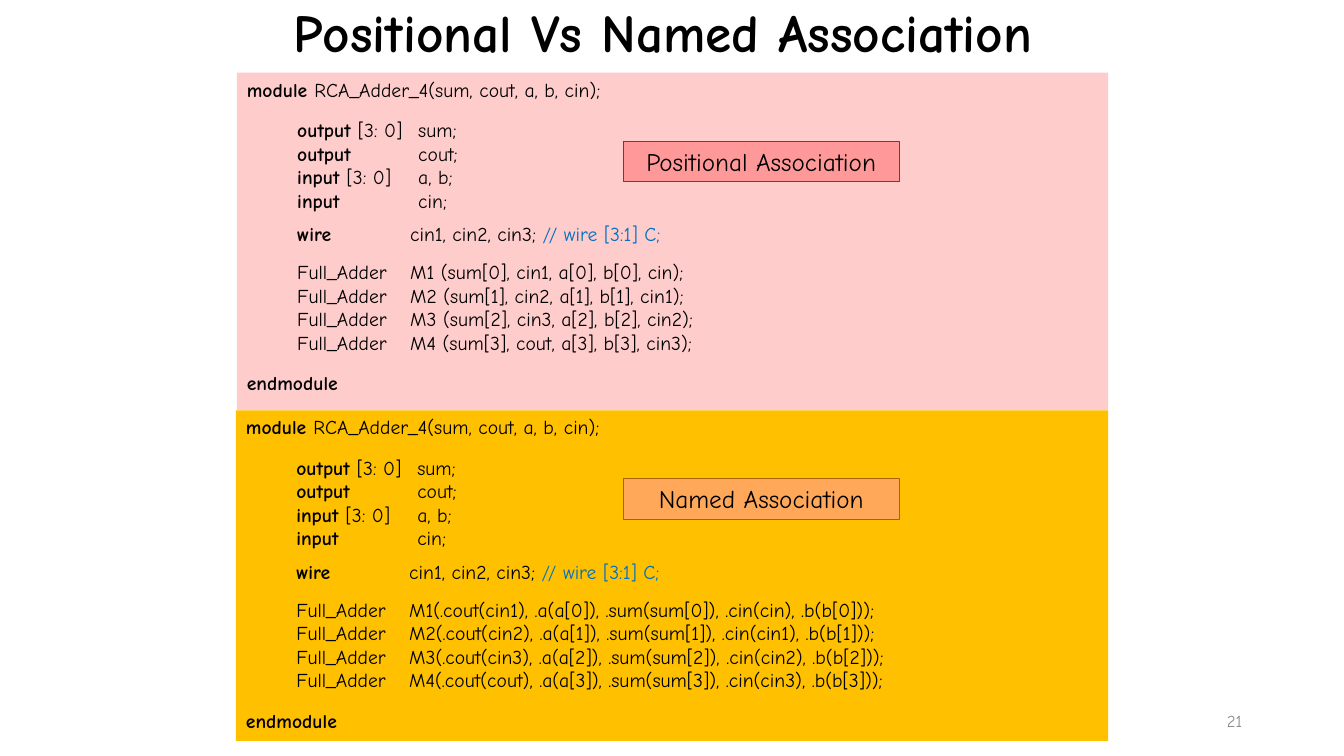
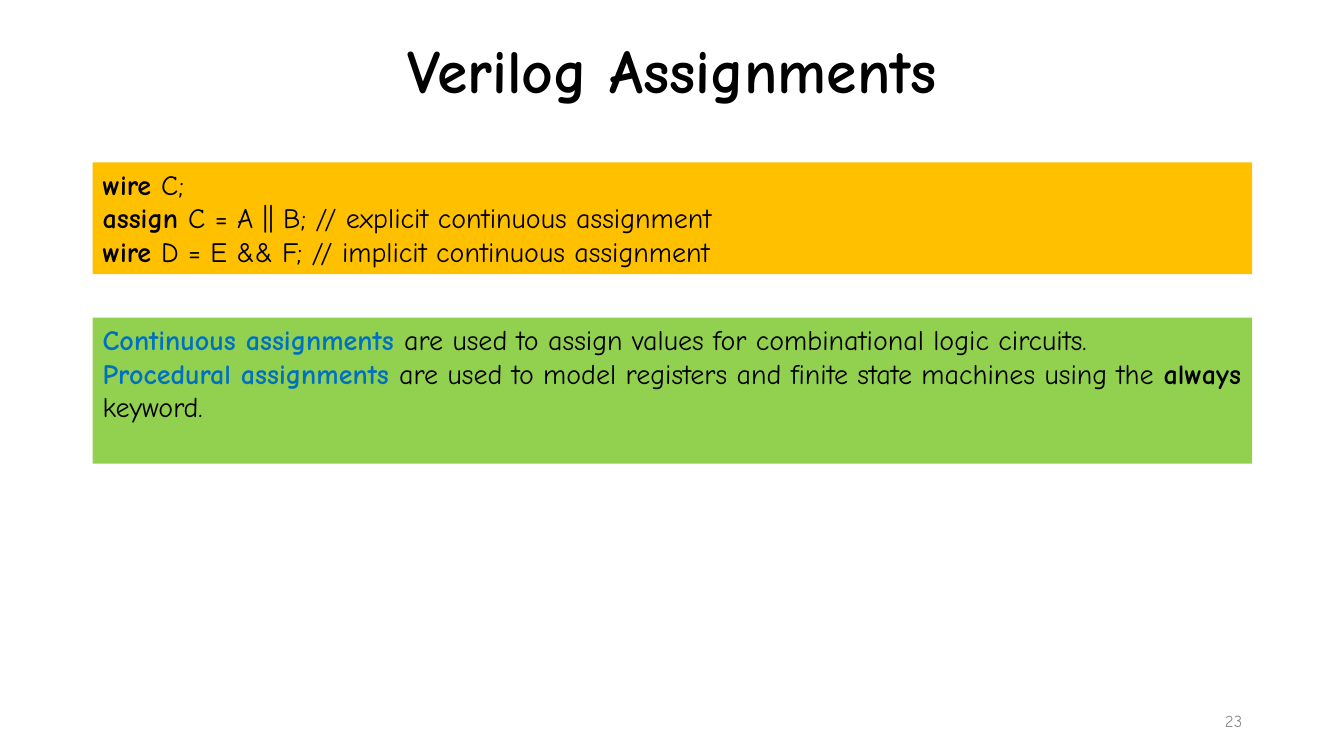
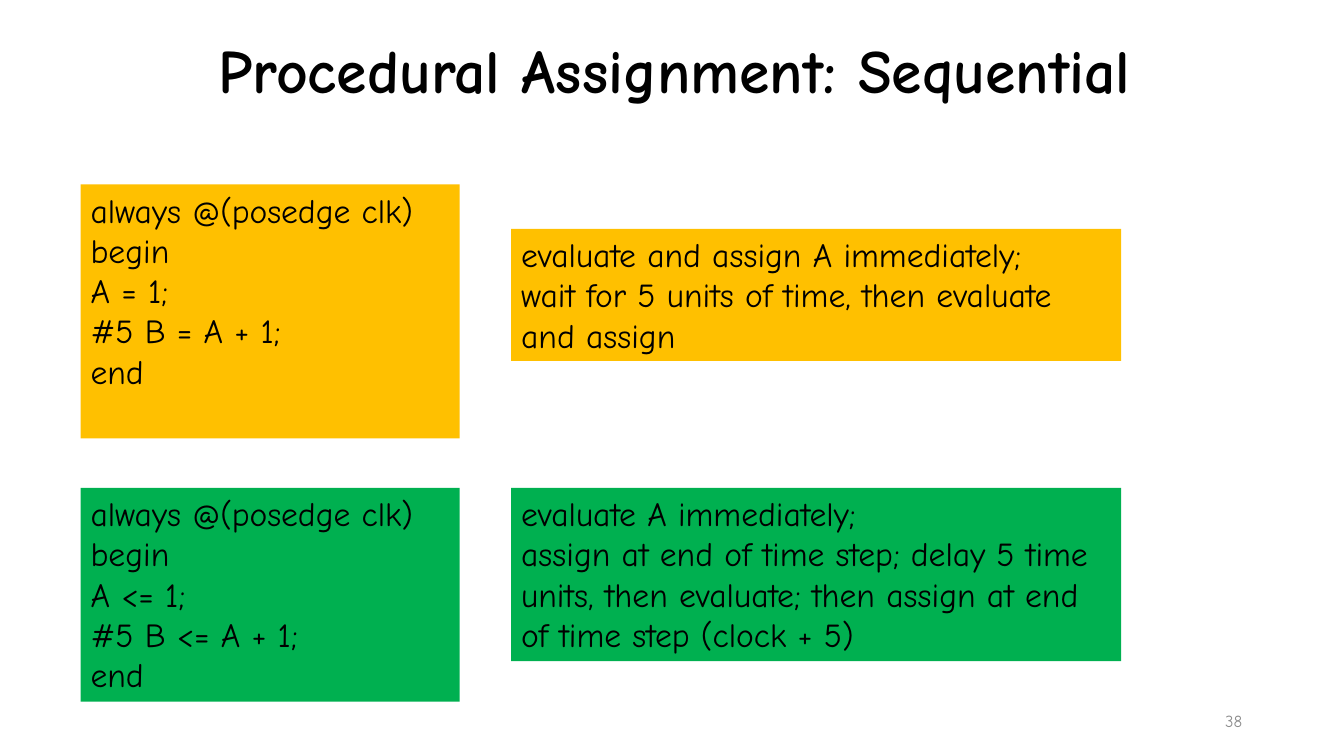
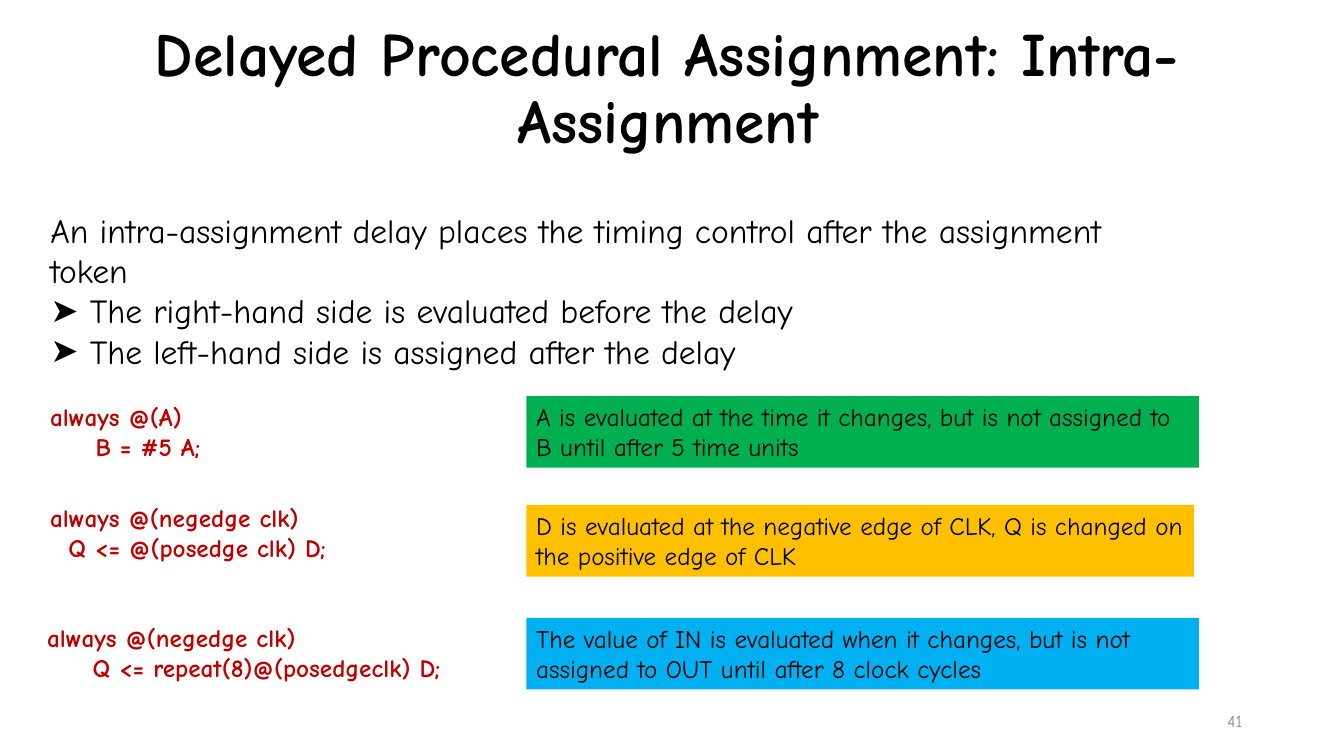
"""Build four slides on Verilog modules and assignments."""
from lxml.etree import SubElement
from pptx import Presentation
from pptx.dml.color import RGBColor
from pptx.enum.shapes import MSO_SHAPE
from pptx.enum.text import MSO_ANCHOR, MSO_AUTO_SIZE, PP_ALIGN
from pptx.oxml.ns import qn
from pptx.util import Inches, Pt

FONT = "Comic Neue"
BLACK = RGBColor(0x00, 0x00, 0x00)
GRAY = RGBColor(0x8C, 0x8C, 0x8C)
BLUE = RGBColor(0x00, 0x70, 0xC0)
CRIMSON = RGBColor(0xC0, 0x00, 0x00)
RED = RGBColor(0xFF, 0x00, 0x00)
BROWN = RGBColor(0xAA, 0x63, 0x00)
PINK = RGBColor(0xFF, 0xCC, 0xCC)
ROSE = RGBColor(0xFF, 0x99, 0x99)
ORANGE = RGBColor(0xFF, 0xA8, 0x5A)
GOLD = RGBColor(0xFF, 0xC0, 0x00)
LIME = RGBColor(0x92, 0xD0, 0x50)
GREEN = RGBColor(0x00, 0xB0, 0x50)
SKY = RGBColor(0x00, 0xB0, 0xF0)


def write(sp, at, paragraphs, size, color=BLACK, bold=False,
          align=PP_ALIGN.LEFT, anchor=MSO_ANCHOR.TOP):
    """Place a shape and fill it; a paragraph is a string or (text, bold, color) runs."""
    sp.left, sp.top, sp.width, sp.height = [Inches(v) for v in at]
    tf = sp.text_frame
    tf.word_wrap = True
    tf.auto_size = MSO_AUTO_SIZE.NONE
    tf.vertical_anchor = anchor
    for i, runs in enumerate(paragraphs):
        p = tf.paragraphs[0] if i == 0 else tf.add_paragraph()
        p.alignment = align
        p.space_before = Pt(0)
        for text, strong, ink in [(runs, bold, color)] if isinstance(runs, str) else runs:
            r = p.add_run()
            r.text = text
            r.font.name = FONT
            r.font.size = Pt(size)
            r.font.bold = strong
            r.font.color.rgb = ink
    return tf


def add_panel(s, at, fill, paragraphs, size, line=None, align=PP_ALIGN.LEFT):
    """Add a filled rectangle with text."""
    sp = s.shapes.add_shape(MSO_SHAPE.RECTANGLE, 0, 0, 0, 0)
    sp.shadow.inherit = False
    sp.fill.solid()
    sp.fill.fore_color.rgb = fill
    if line is None:
        sp.line.fill.background()
    else:
        sp.line.color.rgb = line
        sp.line.width = Pt(0.75)
    return write(sp, at, paragraphs, size, align=align)


prs = Presentation()
prs.slide_width, prs.slide_height = Inches(13.33), Inches(7.5)

slides = []
for title, at, size, number, layout in [
    ("Positional Vs Named Association ", (0.92, -0.37, 11.5, 1.45), 38, "21", 5),
    ("Verilog Assignments", (0.92, 0, 11.5, 1.45), 44, "23", 5),
    ("Procedural Assignment: Sequential", (0.94, 0, 11.5, 1.45), 44, "38", 5),
    ("Delayed Procedural Assignment: Intra-Assignment", (0.4, 0.17, 12.45, 1.45), 44, "41", 1),
]:
    s = prs.slides.add_slide(prs.slide_layouts[layout])
    tf = write(s.shapes.title, at, [title], size, bold=True,
               align=PP_ALIGN.CENTER, anchor=MSO_ANCHOR.MIDDLE)
    tf.paragraphs[0].line_spacing = 0.9
    write(s.shapes.add_textbox(0, 0, 0, 0), (9.42, 6.95, 3, 0.4), [number], 12,
          color=GRAY, align=PP_ALIGN.RIGHT, anchor=MSO_ANCHOR.MIDDLE)
    slides.append(s)
association, assignments, sequential, delayed = slides

declarations = [
    [("module ", True, BLACK), ("RCA_Adder_4(sum, cout, a, b, cin);", False, BLACK)],
    [("\toutput ", True, BLACK), ("[3: 0]\tsum;", False, BLACK)],
    [("\toutput", True, BLACK), ("\tcout;", False, BLACK)],
    [("\tinput ", True, BLACK), ("[3: 0]\ta, b;", False, BLACK)],
    [("\tinput", True, BLACK), ("\tcin;", False, BLACK)],
    [("\twire", True, BLACK), ("\tcin1, cin2, cin3; ", False, BLACK),
     ("// wire [3:1] C;", False, BLUE)],
]
carries = ["cin", "cin1", "cin2", "cin3", "cout"]
space_before = {1: 12, 5: 7, 6: 10.5, 10: 12}
for at, fill, label, label_top, label_fill, label_line, ports in [
    ((2.35, 0.72, 8.64, 3.35), PINK, "Positional Association", 1.4, ROSE, RED,
     " (sum[{n}], {out}, a[{n}], b[{n}], {cin});"),
    ((2.34, 4.07, 8.65, 3.28), GOLD, "Named Association", 4.75, ORANGE, BROWN,
     "(.cout({out}), .a(a[{n}]), .sum(sum[{n}]), .cin({cin}), .b(b[{n}]));"),
]:
    adders = [f"\tFull_Adder\tM{n + 1}" + ports.format(n=n, cin=carries[n], out=carries[n + 1])
              for n in range(4)]
    tf = add_panel(association, at, fill,
                   declarations + adders + [[("endmodule", True, BLACK)]], 14)
    for i, p in enumerate(tf.paragraphs):
        p.space_before = Pt(space_before.get(i, 0))
        tabs = SubElement(p._p.get_or_add_pPr(), qn("a:tabLst"))
        for stop in (0.5, 1.7 if i < 5 else 1.62):
            SubElement(tabs, qn("a:tab"), pos=str(Inches(stop)), algn="l")
    add_panel(association, (6.18, label_top, 2.74, 0.4), label_fill, [label], 18,
              line=label_line, align=PP_ALIGN.CENTER)

add_panel(assignments, (0.92, 1.61, 11.5, 1.11), GOLD, [
    [("wire ", True, BLACK), ("C;", False, BLACK)],
    [("assign ", True, BLACK),
     ("C = A || B; // explicit continuous assignment", False, BLACK)],
    [("wire ", True, BLACK),
     ("D = E && F; // implicit continuous assignment", False, BLACK)],
], 20)
add_panel(assignments, (0.92, 3.15, 11.5, 1.45), LIME, [
    [("Continuous assignments ", True, BLUE),
     ("are used to assign values for combinational logic circuits.", False, BLACK)],
    [("Procedural assignments ", True, BLUE),
     ("are used to model registers and finite state machines using the ", False, BLACK),
     ("always", True, BLACK), (" keyword.", False, BLACK)],
], 20)

for fill, op, code_top, code_height, note_top, note_height, note in [
    (GOLD, "=", 1.83, 2.52, 2.27, 1.31,
     ["evaluate and assign A immediately;",
      "wait for 5 units of time, then evaluate and assign"]),
    (GREEN, "<=", 4.84, 2.12, 4.84, 1.72,
     ["evaluate A immediately;",
      "assign at end of time step; delay 5 time units, then evaluate; "
      "then assign at end of time step (clock + 5)"]),
]:
    code = ["always @(posedge clk) begin", f"A {op} 1;", f"#5 B {op} A + 1;", "end"]
    add_panel(sequential, (0.8, code_top, 3.76, code_height), fill, code, 24)
    add_panel(sequential, (5.07, note_top, 6.05, note_height), fill, note, 24)

tf = write(delayed.placeholders[1], (0.4, 2.03, 11.49, 1.75), [
    "An intra-assignment delay places the timing control after the assignment token",
    "The right-hand side is evaluated before the delay",
    "The left-hand side is assigned after the delay",
], 24)
for i, p in enumerate(tf.paragraphs):
    pPr = p._p.get_or_add_pPr()
    hang = Inches(0.39) if i else 0
    pPr.set("marL", str(hang))
    pPr.set("indent", str(-hang))
    if i:
        SubElement(pPr, qn("a:buChar"), char="➤")
    else:
        SubElement(pPr, qn("a:buNone"))

for left, code_top, indent, code, note_top, width, fill, note in [
    (0.4, 3.93, 0.45, ["always @(A)", "B = #5 A;"], 3.93, 6.67, GREEN,
     "A is evaluated at the time it changes, but is not assigned to B until after 5 time units"),
    (0.4, 4.93, 0.18, ["always @(negedge clk)", "Q <= @(posedge clk) D;"], 5.01, 6.62, GOLD,
     "D is evaluated at the negative edge of CLK, Q is changed on the positive edge of CLK"),
    (0.37, 6.12, 0.45, ["always @(negedge clk)", "Q <= repeat(8)@(posedgeclk) D;"],
     6.13, 6.67, SKY,
     "The value of IN is evaluated when it changes, but is not assigned to OUT "
     "until after 8 clock cycles"),
]:
    tf = write(delayed.shapes.add_textbox(0, 0, 0, 0), (left, code_top, 4.8, 0.71), code, 18,
               color=CRIMSON, bold=True)
    tf.paragraphs[1]._p.get_or_add_pPr().set("marL", str(Inches(indent)))
    add_panel(delayed, (5.22, note_top, width, 0.71), fill, [note], 18)

prs.save("out.pptx")
